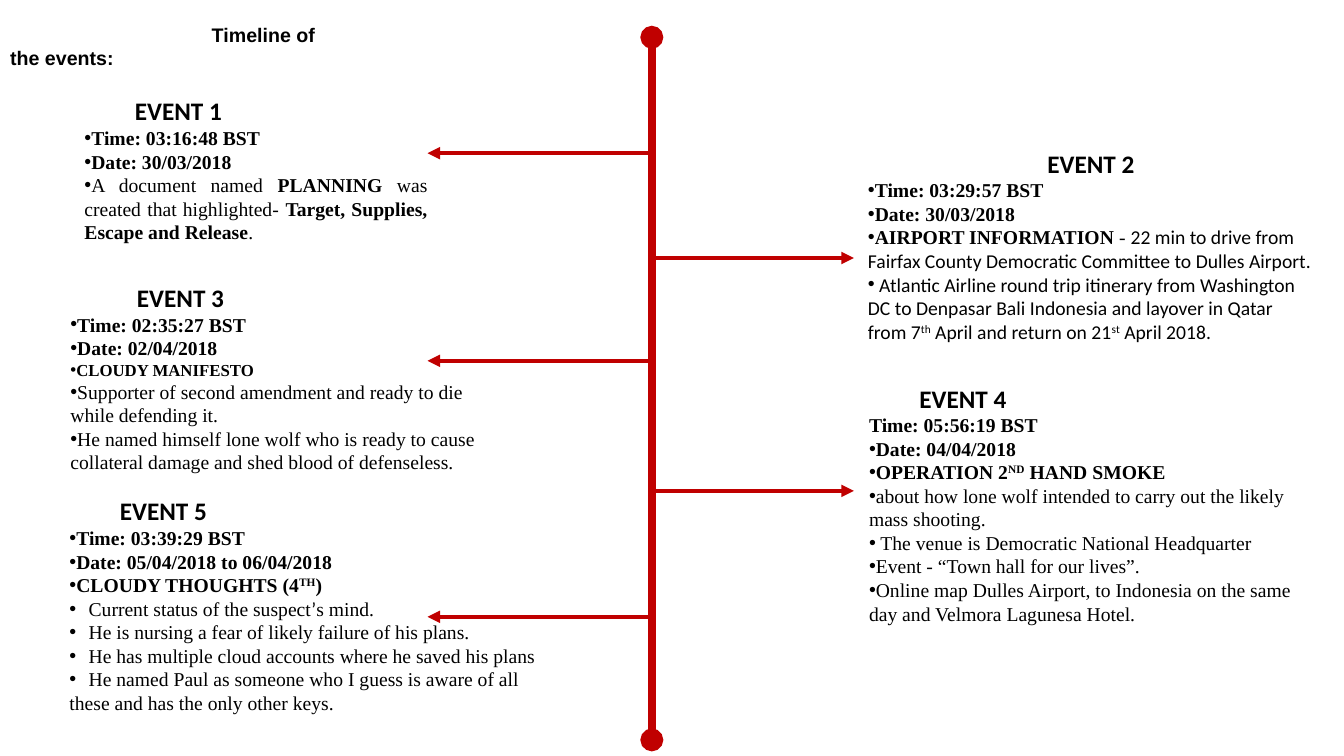
from lxml import etree
from pptx import Presentation
from pptx.dml.color import RGBColor
from pptx.enum.shapes import MSO_CONNECTOR
from pptx.enum.text import MSO_ANCHOR, MSO_AUTO_SIZE, PP_ALIGN
from pptx.oxml.ns import qn
from pptx.util import Inches, Pt

LINE = MSO_CONNECTOR.STRAIGHT
TOP, BOTTOM = MSO_ANCHOR.TOP, MSO_ANCHOR.BOTTOM
FIXED = MSO_AUTO_SIZE.NONE
LEFT, MID, JUST = PP_ALIGN.LEFT, PP_ALIGN.CENTER, PP_ALIGN.JUSTIFY

COLORS = {"red": "C00000", "text": "000000"}
SERIF = "Times New Roman"
FONTS = {
    "title": {"name": "Arial", "size": Pt(14), "bold": True},
    "head": {"name": "Calibri", "size": Pt(18), "bold": True},
    "bold": {"name": SERIF, "size": Pt(14), "bold": True},
    "small": {"name": SERIF, "size": Pt(12), "bold": True},
    "plain": {"name": SERIF, "size": Pt(14), "bold": False},
    "sans": {"name": "Calibri", "size": Pt(14), "bold": False},
}
PARAS = {
    "title": (0, 2, False, LEFT),
    "head": (0, 0.5, False, LEFT),
    "inset": (0, 0.66, False, LEFT),
    "deep": (0, 1, False, LEFT),
    "mid": (0, 0, False, MID),
    "item": (0, 0, True, LEFT),
    "just": (0, 0, True, JUST),
    "hang": (0.19, -0.19, True, LEFT),
    "sub": (0.5, 0, True, LEFT),
    "start": (0, 0.5, False, LEFT),
    "more": (0, 0, False, LEFT),
}

TITLE = ((0, -5.6, 25, 18), [("title", [("title", "Timeline of the events:")])])
SPINE = (48.5, 4.93, 97.87)
ENDS = {"left": 31.81, "right": 63.54}
ARROWS = [("left", 20.27), ("right", 34.13), ("left", 47.73),
          ("right", 64.93), ("left", 81.6)]
EVENTS = [
    ((5.55, 12, 27, 23.87), True, [
        ("head", [("head", "EVENT 1")]),
        ("just", [("bold", "Time: 03:16:48 BST")]),
        ("just", [("bold", "Date: 30/03/2018")]),
        ("just", [("plain", "A document named "), ("bold", "PLANNING"),
                  ("plain", " was created that highlighted- "),
                  ("bold", "Target, Supplies, Escape and Release"),
                  ("plain", ".")]),
    ]),
    ((63.84, 18.93, 34.66, 26.53), True, [
        ("mid", [("head", "EVENT 2")]),
        ("item", [("bold", "Time: 03:29:57 BST")]),
        ("item", [("bold", "Date: 30/03/2018")]),
        ("item", [("bold", "AIRPORT INFORMATION"), ("plain", " - "),
                  ("sans", "22 min to drive from Fairfax County Democratic "
                           "Committee to Dulles Airport.")]),
        ("item", [("sans", " Atlantic Airline round trip itinerary from Washington "
                           "DC to Denpasar Bali Indonesia and layover in Qatar from 7"),
                  ("sans^", "th"), ("sans", " April and return on 21"),
                  ("sans^", "st"), ("sans", " April 2018.")]),
    ]),
    ((4.5, 36.67, 31.28, 25.73), False, [
        ("inset", [("head", "EVENT 3")]),
        ("item", [("bold", "Time: 02:35:27 BST")]),
        ("item", [("bold", "Date: 02/04/2018")]),
        ("item", [("small", "CLOUDY MANIFESTO")]),
        ("item", [("plain", "Supporter of second amendment and ready to die")]),
        ("more", [("plain", "while defending it.")]),
        ("item", [("plain", "He named himself lone wolf who is ready to cause")]),
        ("more", [("plain", "collateral damage and shed blood of defenseless.")]),
    ]),
    ((60.17, 50, 38.7, 40.67), True, [
        ("deep", [("head", "EVENT 4")]),
        ("start", [("bold", "Time: 05:56:19 BST")]),
        ("sub", [("bold", "Date: 04/04/2018")]),
        ("sub", [("bold", "OPERATION 2"), ("bold^", "ND"), ("bold", " HAND SMOKE")]),
        ("sub", [("plain", "about how lone wolf intended to carry out "
                           "the likely mass shooting.")]),
        ("sub", [("plain", " The venue is Democratic National Headquarter")]),
        ("sub", [("plain", "Event - “Town hall for our lives”.")]),
        ("sub", [("plain", "Online map Dulles Airport, to Indonesia on the same "
                           "day and Velmora Lagunesa Hotel.")]),
    ]),
    ((4.43, 64.93, 36.53, 30.27), False, [
        ("head", [("head", "EVENT 5")]),
        ("item", [("bold", "Time: 03:39:29 BST")]),
        ("item", [("bold", "Date: 05/04/2018 to 06/04/2018")]),
        ("item", [("bold", "CLOUDY THOUGHTS (4"), ("bold^", "TH"), ("bold", ")")]),
        ("hang", [("plain", "Current status of the suspect"), ("sans", "’"),
                  ("plain", "s mind.")]),
        ("hang", [("plain", "He is nursing a fear of likely failure of his plans.")]),
        ("hang", [("plain", "He has multiple cloud accounts where he saved his plans")]),
        ("hang", [("plain", "He named Paul as someone who I guess is aware of all")]),
        ("more", [("plain", "these and has the only other keys.")]),
    ]),
]

deck = Presentation()
deck.slide_width, deck.slide_height = Inches(13.33), Inches(7.5)
slide = deck.slides.add_slide(deck.slide_layouts[5])


def col(share):
    return int(deck.slide_width * share / 100)


def row(share):
    return int(deck.slide_height * share / 100)


def area(box):
    x, y, w, h = box
    return col(x), row(y), col(w), row(h)


def style(para, kind):
    left, first, dot, align = PARAS[kind]
    para.alignment = align
    props = para._p.get_or_add_pPr()
    props.set("marL", str(Inches(left)))
    props.set("indent", str(Inches(first)))
    if dot:
        etree.SubElement(props, qn("a:buFont")).set("typeface", "Arial")
        etree.SubElement(props, qn("a:buChar")).set("char", "•")


def write(frame, paras, wrap, anchor):
    frame.auto_size = FIXED
    frame.word_wrap = wrap
    frame.vertical_anchor = anchor
    for i, (kind, runs) in enumerate(paras):
        para = frame.add_paragraph() if i else frame.paragraphs[0]
        style(para, kind)
        for key, text in runs:
            run = para.add_run()
            run.text = text
            for name, value in FONTS[key.rstrip("^")].items():
                setattr(run.font, name, value)
            run.font.color.rgb = RGBColor.from_string(COLORS["text"])
            if key.endswith("^"):
                run._r.get_or_add_rPr().set("baseline", "30000")


def draw(x1, y1, x2, y2, width, tips):
    line = slide.shapes.add_connector(LINE, col(x1), row(y1), col(x2), row(y2))
    line.line.color.rgb = RGBColor.from_string(COLORS["red"])
    line.line.width = Pt(width)
    for tag, tip in tips.items():
        etree.SubElement(line.line._get_or_add_ln(), qn(tag)).set("type", tip)
    etree.SubElement(line._element.spPr, qn("a:effectLst"))


axis, start, end = SPINE
draw(axis, start, axis, end, 5.5, {"a:headEnd": "oval", "a:tailEnd": "oval"})
for side, y in ARROWS:
    draw(axis, y, ENDS[side], y, 3, {"a:tailEnd": "triangle"})

for box, wrap, paras in EVENTS:
    write(slide.shapes.add_textbox(*area(box)).text_frame, paras, wrap, TOP)

box, paras = TITLE
title = slide.shapes.title
title.left, title.top, title.width, title.height = area(box)
title.text_frame.margin_bottom = Inches(0.24)
write(title.text_frame, paras, True, BOTTOM)

deck.save("out.pptx")
